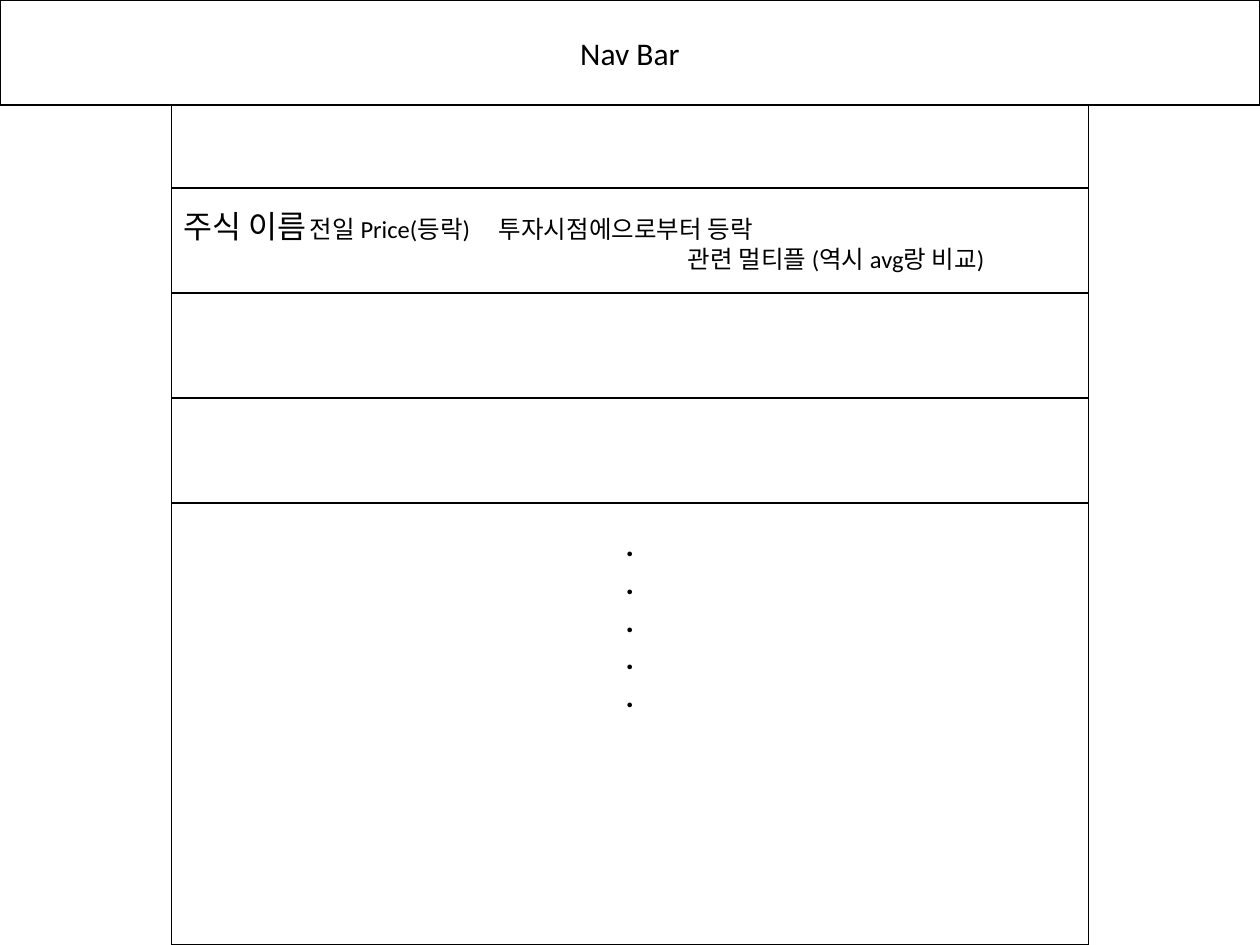
from dataclasses import dataclass

from pptx import Presentation
from pptx.dml.color import RGBColor
from pptx.enum.shapes import MSO_SHAPE
from pptx.enum.text import MSO_ANCHOR, PP_ALIGN
from pptx.util import Pt


@dataclass(frozen=True)
class Theme:
    ink: RGBColor = RGBColor(0, 0, 0)
    font: str = "Calibri"
    large: float = 18
    small: float = 14
    line: float = 1


THEME = Theme()
SLIDE_W, SLIDE_H = 720, 540
BAR_H = 60
LIST_X, LIST_W = 98, 524
FIRST_ROW_Y = 47.3  # measured from the top of the list
INSET_Y = 3.6
DOT_COUNT, DOT_OFFSET = 5, 108


def add_box(slide, box):
    """Outlined rectangle without fill; returns its text frame."""
    shape = slide.shapes.add_shape(MSO_SHAPE.RECTANGLE, *(Pt(v) for v in box))
    shape.shadow.inherit = False
    shape.fill.background()
    shape.line.color.rgb = THEME.ink
    shape.line.width = Pt(THEME.line)
    frame = shape.text_frame
    frame.word_wrap = True
    frame.vertical_anchor = MSO_ANCHOR.MIDDLE
    return frame


def write_lines(frame, lines, align):
    """Each line is a list of (text, size, bold) runs."""
    for i, runs in enumerate(lines):
        paragraph = frame.paragraphs[0] if i == 0 else frame.add_paragraph()
        paragraph.alignment = align
        for text, size, bold in runs:
            run = paragraph.add_run()
            run.text = text
            run.font.name = THEME.font
            run.font.size = Pt(size)
            run.font.bold = bold
            run.font.color.rgb = THEME.ink


def nav_bar(slide, box):
    write_lines(add_box(slide, box), [[("Nav Bar", THEME.large, False)]], PP_ALIGN.CENTER)


def stock_row(slide, box):
    frame = add_box(slide, box)
    write_lines(frame, [
        [("주식 이름\t", THEME.large, False),
         ("전일 Price(등락)\t투자시점에으로부터 등락", THEME.small, False)],
        [("관련 멀티플 (역시 avg랑 비교)", THEME.small, False)],
    ], PP_ALIGN.LEFT)
    # Second line starts at the fourth one-inch stop
    properties = frame.paragraphs[1]._p.get_or_add_pPr()
    properties.set("marL", str(Pt(288)))
    properties.set("indent", "0")


def stock_list(slide, box):
    x, y, w, h = box
    # Frame with the continuation dots
    frame = add_box(slide, box)
    frame.margin_top = Pt(INSET_Y + DOT_OFFSET)
    write_lines(frame, [[(".", THEME.large, True)]] * DOT_COUNT, PP_ALIGN.CENTER)
    # Stacked rows: one filled in, two empty
    for i, add_row in enumerate((stock_row, add_box, add_box)):
        add_row(slide, (x, y + FIRST_ROW_Y + i * BAR_H, w, BAR_H))


prs = Presentation()
prs.slide_width, prs.slide_height = Pt(SLIDE_W), Pt(SLIDE_H)
page = prs.slides.add_slide(prs.slide_layouts[6])
nav_bar(page, (0, 0, SLIDE_W, BAR_H))
stock_list(page, (LIST_X, BAR_H, LIST_W, SLIDE_H - BAR_H))
prs.save("out.pptx")
